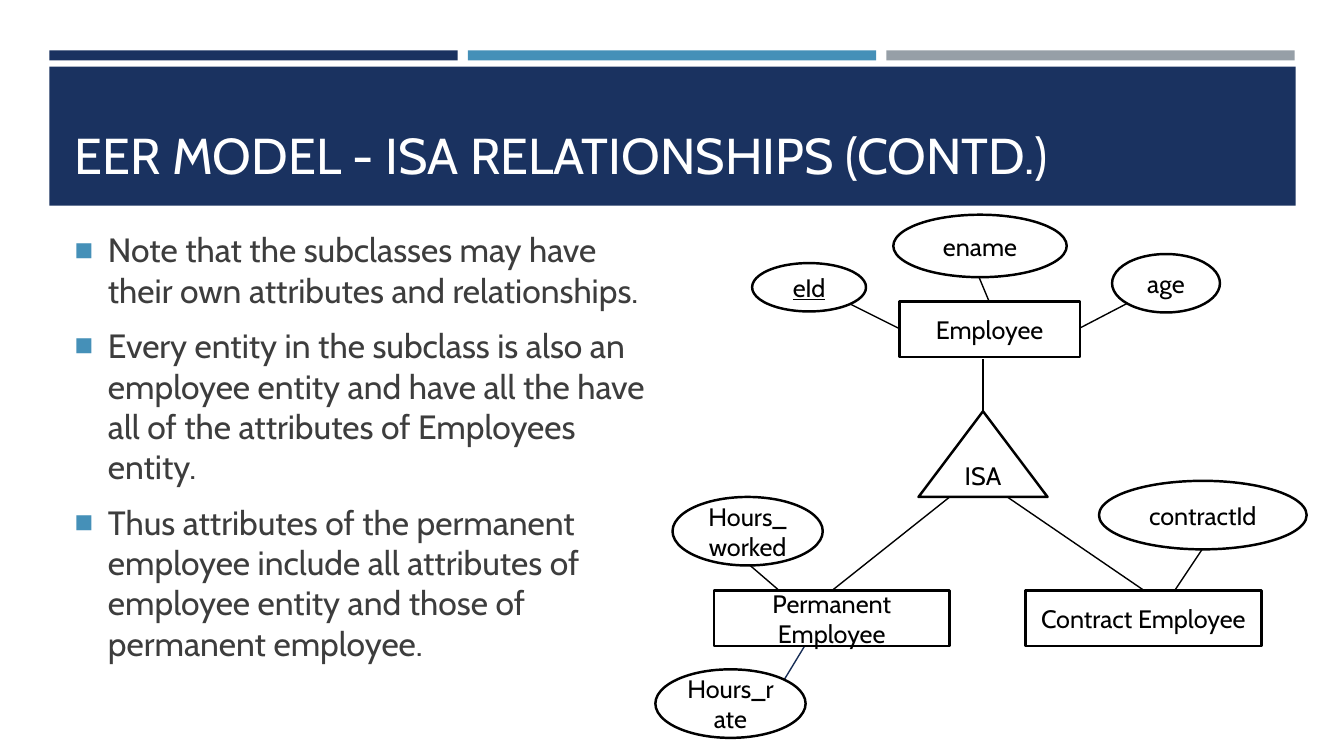
import pptx
import pptx.dml.color
import pptx.enum.shapes
import pptx.enum.text
import pptx.oxml
import pptx.oxml.ns
import pptx.util

RGBColor = pptx.dml.color.RGBColor
SHAPE = pptx.enum.shapes.MSO_SHAPE
ALIGN = pptx.enum.text.PP_ALIGN
ANCHOR = pptx.enum.text.MSO_ANCHOR

NAVY = RGBColor(0x1A, 0x32, 0x60)
DARK_NAVY = RGBColor(0x17, 0x2D, 0x56)
BLUE = RGBColor(0x45, 0x90, 0xB8)
GRAY = RGBColor(0x96, 0x9F, 0xA7)
TEXT = RGBColor(0x3D, 0x3D, 0x3D)
BLACK = RGBColor(0x00, 0x00, 0x00)
WHITE = RGBColor(0xFF, 0xFF, 0xFF)

FONT = "Cabin"
EMU_PER_PX = 9144

TITLE = "EER MODEL - ISA RELATIONSHIPS (CONTD.)"
NOTES = [
    "Note that the subclasses may have their own attributes and relationships.",
    "Every entity in the subclass is also an employee entity and have all the "
    "have all of the attributes of Employees entity.",
    "Thus attributes of the permanent employee include all attributes of "
    "employee entity and those of permanent employee.",
]

ENTITIES = [
    ("Employee", 242, 86, 179, 55),
    ("Permanent Employee", 58, 373, 234, 55),
    ("Contract Employee", 367, 373, 234, 55),
]
ATTRIBUTES = [
    ("eId", 96, 48, 113, 48),
    ("ename", 236, 0, 172, 62),
    ("age", 453, 39, 107, 58),
    ("Hours_worked", 17, 280, 149, 68),
    ("Hours_rate", 0, 451, 149, 68),
    ("contractId", 440, 264, 206, 68),
]
KEY_ATTRIBUTE = "eId"
LINKS = [
    (325, 195, 325, 143, BLACK),
    (292, 280, 175, 373, BLACK),
    (349, 280, 485, 373, BLACK),
    (192, 88, 242, 113, BLACK),
    (468, 88, 420, 113, BLACK),
    (321, 62, 331, 86, BLACK),
    (94, 348, 123, 373, BLACK),
    (128, 461, 148, 428, DARK_NAVY),
    (543, 331, 515, 373, BLACK),
]


def px(n):
    return pptx.util.Emu(n * EMU_PER_PX)


def place(sp, x, y, w, h):
    sp.left, sp.top, sp.width, sp.height = px(x), px(y), px(w), px(h)


def add_run(p, text, size, color):
    r = p.add_run()
    r.text = text
    r.font.name = FONT
    r.font.size = pptx.util.Pt(size)
    r.font.color.rgb = color
    return r


def add_box(s, kind, x, y, w, h, fill):
    sp = s.shapes.add_shape(kind, px(x), px(y), px(w), px(h))
    sp.shadow.inherit = False
    sp.fill.solid()
    sp.fill.fore_color.rgb = fill
    sp.line.fill.background()
    return sp


def add_node(s, kind, text, x, y, w, h):
    sp = add_box(s, kind, x, y, w, h, WHITE)
    sp.line.color.rgb = BLACK
    sp.line.width = pptx.util.Pt(1.75)
    tf = sp.text_frame
    tf.word_wrap = True
    tf.vertical_anchor = ANCHOR.MIDDLE
    p = tf.paragraphs[0]
    p.alignment = ALIGN.CENTER
    r = add_run(p, text, 18, BLACK)
    if text == KEY_ATTRIBUTE:
        r.font.underline = True


def add_link(s, x1, y1, x2, y2, color):
    line = s.shapes.add_connector(
        pptx.enum.shapes.MSO_CONNECTOR.STRAIGHT, px(x1), px(y1), px(x2), px(y2))
    line.line.color.rgb = color
    line.line.width = pptx.util.Pt(1)
    pptx.oxml.ns.qn("a:effectLst")
    line._element.spPr.append(
        pptx.oxml.parse_xml(f'<a:effectLst {pptx.oxml.ns.nsdecls("a")}/>'))


def add_bullet(p, indent):
    pPr = p._p.get_or_add_pPr()
    pPr.set("marL", str(px(indent)))
    pPr.set("indent", str(px(-indent)))
    ns = pptx.oxml.ns.nsdecls("a")
    for xml in (
        f'<a:buClr {ns}><a:srgbClr val="{BLUE}"/></a:buClr>',
        f'<a:buSzPct {ns} val="92000"/>',
        f'<a:buChar {ns} char="■"/>',
    ):
        pPr.append(pptx.oxml.parse_xml(xml))


def header(s, x, y, w, h):
    bar_w, gap = 405, 10
    for i, color in enumerate((NAVY, BLUE, GRAY)):
        add_box(s, SHAPE.RECTANGLE, x + i * (bar_w + gap), y, bar_w, 10, color)
    band = add_box(s, SHAPE.RECTANGLE, x, y + 16, w, h - 16, NAVY)
    title = s.shapes.title
    band._element.addnext(title._element)
    place(title, x + 15, y + 30, w - 30, 108)
    tf = title.text_frame
    tf.word_wrap = True
    tf.auto_size = pptx.enum.text.MSO_AUTO_SIZE.NONE
    tf.vertical_anchor = ANCHOR.BOTTOM
    p = tf.paragraphs[0]
    p.alignment = ALIGN.LEFT
    add_run(p, TITLE, 36, WHITE)


def notes(s, x, y, w, h):
    body = s.placeholders[1]
    place(body, x, y, w, h)
    tf = body.text_frame
    tf.word_wrap = True
    tf.auto_size = pptx.enum.text.MSO_AUTO_SIZE.NONE
    tf.vertical_anchor = ANCHOR.MIDDLE
    for i, text in enumerate(NOTES):
        p = tf.add_paragraph() if i else tf.paragraphs[0]
        p.space_before = pptx.util.Pt(4.8)
        p.space_after = pptx.util.Pt(6)
        add_bullet(p, 33)
        add_run(p, text, 24, TEXT)


def diagram(s, x, y):
    for x1, y1, x2, y2, color in LINKS:
        add_link(s, x + x1, y + y1, x + x2, y + y2, color)
    for kind, nodes in (
        (SHAPE.RECTANGLE, ENTITIES),
        (SHAPE.OVAL, ATTRIBUTES),
        (SHAPE.ISOSCELES_TRIANGLE, [("ISA", 261, 195, 128, 85)]),
    ):
        for text, dx, dy, w, h in nodes:
            add_node(s, kind, text, x + dx, y + dy, w, h)


def main():
    prs = pptx.Presentation()
    prs.slide_width, prs.slide_height = px(1333), px(750)
    s = prs.slides.add_slide(prs.slide_layouts[1])
    header(s, 49, 50, 1236, 154)
    notes(s, 64, 244, 593, 397)
    diagram(s, 650, 213)
    prs.save("out.pptx")


if __name__ == "__main__":
    main()
